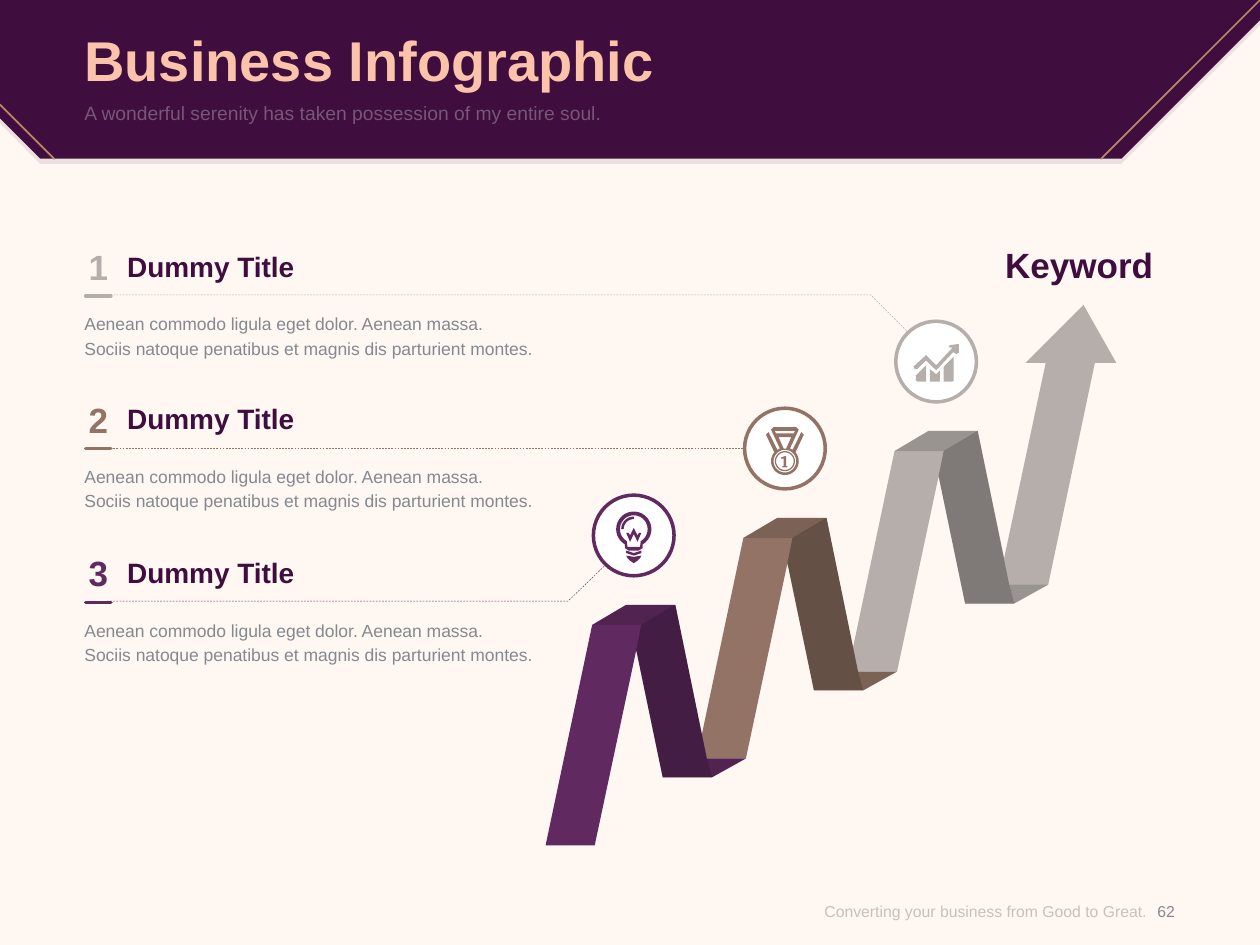
from math import cos, radians, sin

from pptx import Presentation
from pptx.dml.color import RGBColor
from pptx.enum.dml import MSO_LINE
from pptx.enum.shapes import MSO_CONNECTOR, MSO_SHAPE
from pptx.enum.text import MSO_ANCHOR as ANCHOR, PP_ALIGN as ALIGN
from pptx.oxml.ns import qn
from pptx.oxml.xmlchemy import OxmlElement
from pptx.util import Inches, Pt

THEME = {
    "cream": "FFF7F2", "plum": "3F0D3E", "peach": "FBC4AA", "gold": "B98763",
    "purple": "602A60", "brown": "927365", "silver": "B6AEAB",
    "gray": "85898F", "pale": "8C8C8C", "white": "FFFFFF", "black": "000000",
    "title": {"size": Pt(32), "bold": True},
    "subtitle": {"size": Pt(11), "bold": False},
    "number": {"size": Pt(20), "bold": True},
    "heading": {"size": Pt(16), "bold": True},
    "body": {"size": Pt(10), "bold": False},
    "footer": {"size": Pt(9), "bold": False},
}
FRAME = {"margin_left": 0, "margin_right": 0, "margin_top": 0,
         "margin_bottom": 0, "word_wrap": True}

prs = Presentation()
prs.slide_width, prs.slide_height = Inches(10), Inches(7.5)
slide = prs.slides.add_slide(prs.slide_layouts[6])
slide.background.fill.solid()
slide.background.fill.fore_color.rgb = RGBColor.from_string(THEME["cream"])
translucent = []


def draw(contours, color, origin=(0, 0), dashed=False):
    placed = [[(Inches(origin[0] + x), Inches(origin[1] + y)) for x, y in contour]
              for contour in contours]
    builder = slide.shapes.build_freeform(*placed[0][0], scale=1)
    for index, contour in enumerate(placed):
        if index:
            builder.move_to(*contour[0])
        builder.add_line_segments(contour[1:], close=not dashed)
    outline = builder.convert_to_shape()
    outline.shadow.inherit = False
    if dashed:
        outline.fill.background()
        outline.line.color.rgb = RGBColor.from_string(THEME[color])
        outline.line.width = Pt(0.25)
        outline.line.dash_style = MSO_LINE.DASH
    else:
        outline.fill.solid()
        outline.fill.fore_color.rgb = RGBColor.from_string(THEME[color])
        outline.line.fill.background()
    return outline


def write(lines, at, style, color, align=ALIGN.LEFT, anchor=ANCHOR.TOP, spacing=None):
    box = slide.shapes.add_textbox(*map(Inches, at))
    frame = box.text_frame
    for attribute, value in {**FRAME, "vertical_anchor": anchor}.items():
        setattr(frame, attribute, value)
    frame.text = "\n".join(lines)
    for paragraph in frame.paragraphs:
        paragraph.alignment = align
        paragraph.line_spacing = spacing
        font = paragraph.runs[0].font
        for attribute, value in {"name": "Arial", **THEME[style]}.items():
            setattr(font, attribute, value)
        font.color.rgb = RGBColor.from_string(THEME[color])
    return box


banner = [(0, 0), (10, 0), (10, 0.16), (8.9, 1.26), (0.32, 1.26), (0, 0.94)]
translucent.append((draw([banner], "plum", (0, 0.04)), 10))
draw([banner], "plum")

write(["Business Infographic"], (0.67, 0.14, 8.66, 0.65), "title", "peach",
      anchor=ANCHOR.MIDDLE)
subtitle = write(["A wonderful serenity has taken possession of my entire soul."],
                 (0.67, 0.8, 8.66, 0.39), "subtitle", "white")
motto = write(["Converting your business from Good to Great."],
              (6.04, 6.96, 3.06, 0.54), "footer", "pale", ALIGN.RIGHT, ANCHOR.MIDDLE)
translucent += [(subtitle, 30), (motto, 50)]
write(["62"], (9.02, 6.96, 0.47, 0.54), "footer", "gray", ALIGN.CENTER, ANCHOR.MIDDLE)
write(["Keyword"], (7.79, 1.93, 1.55, 0.34), "number", "plum", ALIGN.CENTER)

rules = [((10, 0), (8.74, 1.26), "gold", 1), ((0, 0.83), (0.43, 1.26), "gold", 1)]
items = [
    ("1", 1.95, "silver", [(0.85, 2.34), (6.91, 2.34), (7.21, 2.64)]),
    ("2", 3.16, "brown", [(0.85, 3.56), (5.92, 3.56)]),
    ("3", 4.38, "purple", [(0.85, 4.77), (4.51, 4.77), (4.81, 4.48)]),
]
for number, top, color, leader in items:
    write([number], (0.67, top, 0.22, 0.34), "number", color, ALIGN.CENTER)
    write(["Dummy Title"], (1.01, top + 0.03, 3.15, 0.27), "heading", "plum")
    write(["Aenean commodo ligula eget dolor. Aenean massa.",
           "Sociis natoque penatibus et magnis dis parturient montes."],
          (0.67, top + 0.51, 3.88, 0.38), "body", "gray", spacing=Pt(14))
    draw([leader], color, dashed=True)
    rules.append(((0.68, top + 0.4), (0.88, top + 0.4), color, 2))

for start, end, color, width in rules:
    rule = slide.shapes.add_connector(MSO_CONNECTOR.STRAIGHT, *map(Inches, start + end))
    rule.line.color.rgb = RGBColor.from_string(THEME[color])
    rule.line.width = Pt(width)
    rule.line._get_or_add_ln().set("cap", "rnd")
    rule._element.spPr.append(OxmlElement("a:effectLst"))

turn = [(cos(radians(angle)), sin(radians(angle))) for angle in range(0, 360, 10)]
bulb_arc = turn[12:] + turn[:7]
bulb = [
    [(0.14 * x, 0.14 * y - 0.05) for x, y in bulb_arc]
    + [(0.07, 0.1), (0.04, 0.12), (-0.04, 0.12), (-0.07, 0.1)],
    [(0.11 * x, 0.11 * y - 0.05) for x, y in bulb_arc] + [(0.05, 0.09), (-0.05, 0.09)],
    [(0.1 * x, 0.1 * y - 0.05) for x, y in turn[18:28]]
    + [(0.08 * x, 0.08 * y - 0.05) for x, y in turn[27:17:-1]],
    [(-0.06, -0.02), (-0.04, -0.02), (-0.03, 0), (0, -0.06), (0.03, 0), (0.04, -0.02),
     (0.06, -0.02), (0.03, 0.05), (0, -0.01), (-0.03, 0.05)],
    [(-0.06, 0.12), (0, 0.14), (0.06, 0.12), (0.06, 0.14), (0, 0.16), (-0.06, 0.14)],
    [(-0.06, 0.16), (0, 0.17), (0.06, 0.16), (0.05, 0.18), (0.03, 0.2), (0, 0.22),
     (-0.03, 0.2), (-0.05, 0.18)],
]
medal = [
    [(0.15, -0.11), (0.13, -0.13), (0.06, 0.01), (0.04, 0), (0.11, -0.15),
     (0.09, -0.17), (-0.09, -0.17), (-0.11, -0.15), (-0.04, 0), (-0.06, 0.01),
     (-0.13, -0.13), (-0.15, -0.11)]
    + [(0.11 * x, 0.11 * y + 0.1) for x, y in turn[22::-1] + turn[:31:-1]],
    [(-0.08, -0.14), (0.08, -0.14), (0.07, -0.12), (-0.07, -0.12)],
    [(-0.05, -0.09), (0.05, -0.09), (0.01, 0), (-0.01, 0)],
    *[[(radius * x, radius * y + 0.1) for x, y in turn] for radius in (0.09, 0.08, 0.07)],
    [(-0.03, 0.07), (0, 0.06), (0.01, 0.06), (0.01, 0.14), (0.02, 0.14), (0.02, 0.15),
     (-0.02, 0.15), (-0.02, 0.14), (-0.01, 0.14), (-0.01, 0.08), (-0.03, 0.08)],
]
growth = [
    [(-0.16, 0.11), (-0.08, 0.03), (-0.08, 0.16), (-0.15, 0.16), (-0.16, 0.15)],
    [(-0.05, 0.06), (0, 0.1), (0.03, 0.07), (0.03, 0.16), (-0.05, 0.16)],
    [(0.06, 0.04), (0.14, -0.04), (0.14, 0.15), (0.13, 0.16), (0.06, 0.16)],
    [(0.18, -0.14), (0.11, -0.13), (0.1, -0.12), (0.11, -0.11), (0.13, -0.11),
     (0, 0.03), (-0.08, -0.05), (-0.18, 0.04), (-0.17, 0.06), (-0.15, 0.06),
     (-0.08, -0.01), (0, 0.07), (0.15, -0.09), (0.14, -0.07), (0.16, -0.06),
     (0.18, -0.07)],
]

ribbon = [(1.59, 1.22), (1.32, 1.37), (0.93, 1.37), (0.72, 0.36), (0.39, 1.91),
          (0, 1.91), (0.37, 0.16), (0.64, 0), (1.03, 0)]
ribbon_end = [(1.28, 1.22)]
arrow_end = [(1.24, 1.01), (1.57, -0.54), (1.41, -0.54), (1.87, -1), (2.13, -0.54),
             (1.96, -0.54)]
folds = [
    ([(1.28, 1.22), (1.32, 1.37), (1.59, 1.22)], 15),
    ([(1.32, 1.37), (0.93, 1.37), (0.72, 0.36), (0.76, 0.16), (1.03, 0), (1.28, 1.22)], 30),
    ([(1.03, 0), (0.76, 0.16), (0.37, 0.16), (0.64, 0)], 15),
]
steps = [(2, "silver", growth, arrow_end), (1, "brown", medal, ribbon_end),
         (0, "purple", bulb, ribbon_end)]
for step, color, icon, tail in steps:
    left, top = 4.33 + 1.2 * step, 4.8 - 0.69 * step
    draw([ribbon + tail], color, (left, top))
    for fold, opacity in folds:
        translucent.append((draw([fold], "black", (left, top)), opacity))
    center = (left + 0.7, top - 0.55)
    badge = slide.shapes.add_shape(MSO_SHAPE.OVAL, Inches(center[0] - 0.32),
                                   Inches(center[1] - 0.32), Inches(0.64), Inches(0.64))
    badge.shadow.inherit = False
    badge.fill.solid()
    badge.fill.fore_color.rgb = RGBColor.from_string(THEME["white"])
    badge.line.color.rgb = RGBColor.from_string(THEME[color])
    badge.line.width = Pt(2)
    draw(icon, color, center)

for veil, opacity in translucent:
    for shade in veil._element.iter(qn("a:srgbClr")):
        alpha = OxmlElement("a:alpha")
        alpha.set("val", str(opacity * 1000))
        shade.append(alpha)

prs.save("out.pptx")
